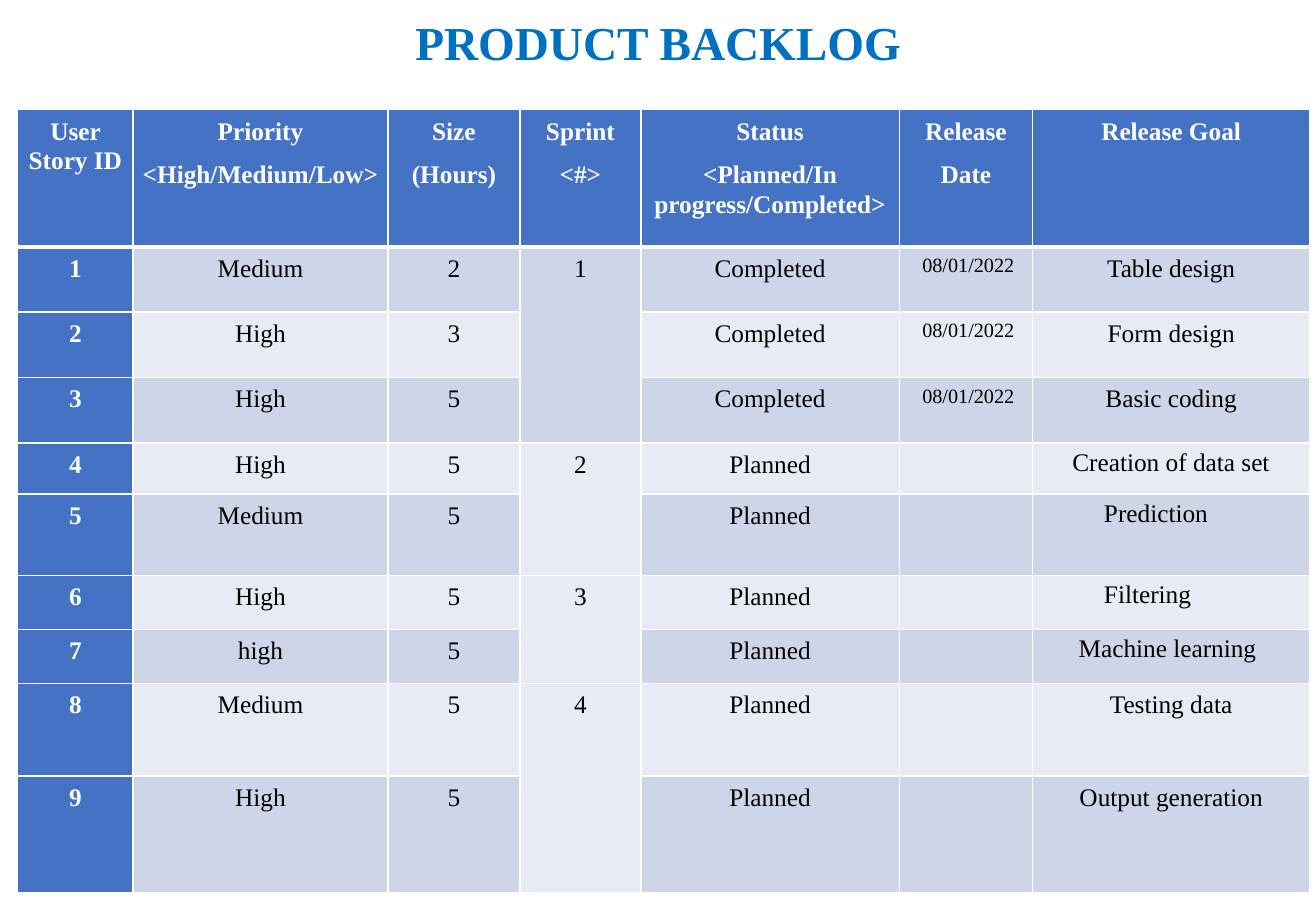
from pptx import Presentation
from pptx.dml.color import RGBColor
from pptx.enum.text import MSO_ANCHOR, PP_ALIGN
from pptx.oxml import parse_xml
from pptx.oxml.ns import nsdecls
from pptx.util import Cm, Pt

WHITE, BLACK, BLUE = "FFFFFF", "000000", "4472C4"
BANDS = ["E8EBF4", "CFD5E9"]


def style(font, size, color, bold):
    look = {"name": "Times New Roman", "size": Pt(size), "bold": bold}
    for key, value in look.items():
        setattr(font, key, value)
    font.color.rgb = RGBColor.from_string(color)


def border(cell, side, width):
    """Draw one white edge of a cell; side is L, R, T or B."""
    cell._tc.get_or_add_tcPr().append(parse_xml(
        f'<a:ln{side} {nsdecls("a")} w="{Pt(width)}"><a:solidFill>'
        f'<a:srgbClr val="{WHITE}"/></a:solidFill></a:ln{side}>'))


deck = Presentation()
deck.slide_width, deck.slide_height = Cm(27.51), Cm(19.05)
slide = deck.slides.add_slide(deck.slide_layouts[5])

# Title
title = slide.shapes.title
place = {"left": Cm(1.37), "top": Cm(0), "width": Cm(24.77), "height": Cm(1.9)}
for key, value in place.items():
    setattr(title, key, value)
title.text_frame.text = "PRODUCT BACKLOG"
title.text_frame.vertical_anchor = MSO_ANCHOR.MIDDLE
line = title.text_frame.paragraphs[0]
line.alignment = PP_ALIGN.CENTER
line.line_spacing = 0.9
style(line.font, 28, "0070C0", True)

# Backlog table
rows = [
    ["User Story ID", "Priority\n<High/Medium/Low>", "Size\n(Hours)", "Sprint\n<#>",
     "Status\n<Planned/In progress/Completed>", "Release\nDate", "Release Goal"],
    ["1", "Medium", "2", "1", "Completed", "08/01/2022", "Table design"],
    ["2", "High", "3", "", "Completed", "08/01/2022", "Form design"],
    ["3", "High", "5", "", "Completed", "08/01/2022", "Basic coding"],
    ["4", "High", "5", "2", "Planned", "", "Creation of data set"],
    ["5", "Medium", "5", "", "Planned", "", "Prediction"],
    ["6", "High", "5", "3", "Planned", "", "Filtering"],
    ["7", "high", "5", "", "Planned", "", "Machine learning"],
    ["8", "Medium", "5", "4", "Planned", "", "Testing data"],
    ["9", "High", "5", "", "Planned", "", "Output generation"],
]
widths = [2.41, 5.33, 2.76, 2.53, 5.4, 2.79, 5.79]
heights = [2.87, 1.36, 1.37, 1.37, 1.07, 1.7, 1.13, 1.13, 1.94, 2.43]
indents = {4: 0.66, 5: 1.32, 6: 1.32, 7: 0.79}  # left-aligned goals, by row
sprints = [(1, 3), (4, 5), (6, 7), (8, 9)]
DATE, GOAL = 5, 6

table = slide.shapes.add_table(
    len(rows), len(widths), Cm(0.37), Cm(2.29), Cm(sum(widths)), Cm(sum(heights))).table
for column, width in zip(table.columns, widths):
    column.width = Cm(width)
for row, height in zip(table.rows, heights):
    row.height = Cm(height)

for r, row in enumerate(rows):
    for c, text in enumerate(row):
        cell = table.cell(r, c)
        head = r == 0 or c == 0
        date = c == DATE and r > 0
        flush = c == GOAL and r in indents
        shift = indents[r] if flush else 0.1 if date else 0
        edges = {"margin_left": 0.17 + shift, "margin_right": 0.17,
                 "margin_top": 0.13, "margin_bottom": 0.13}
        for key, value in edges.items():
            setattr(cell, key, Cm(value))
        for side in "LRTB":
            thick = (r, side) in [(0, "B"), (1, "T")]
            border(cell, side, 3 if thick else 0.96)
        cell.fill.solid()
        cell.fill.fore_color.rgb = RGBColor.from_string(BLUE if head else BANDS[r % 2])
        cell.text = text
        for line in cell.text_frame.paragraphs:
            line.alignment = PP_ALIGN.LEFT if flush else PP_ALIGN.CENTER
            if not flush:
                line.line_spacing = 1.07
                line.space_after = Pt(8)
            style(line.font, 12 if date else 15, WHITE if head else BLACK, head)

for first, last in sprints:
    table.cell(first, 3).merge(table.cell(last, 3))

deck.save("out.pptx")
